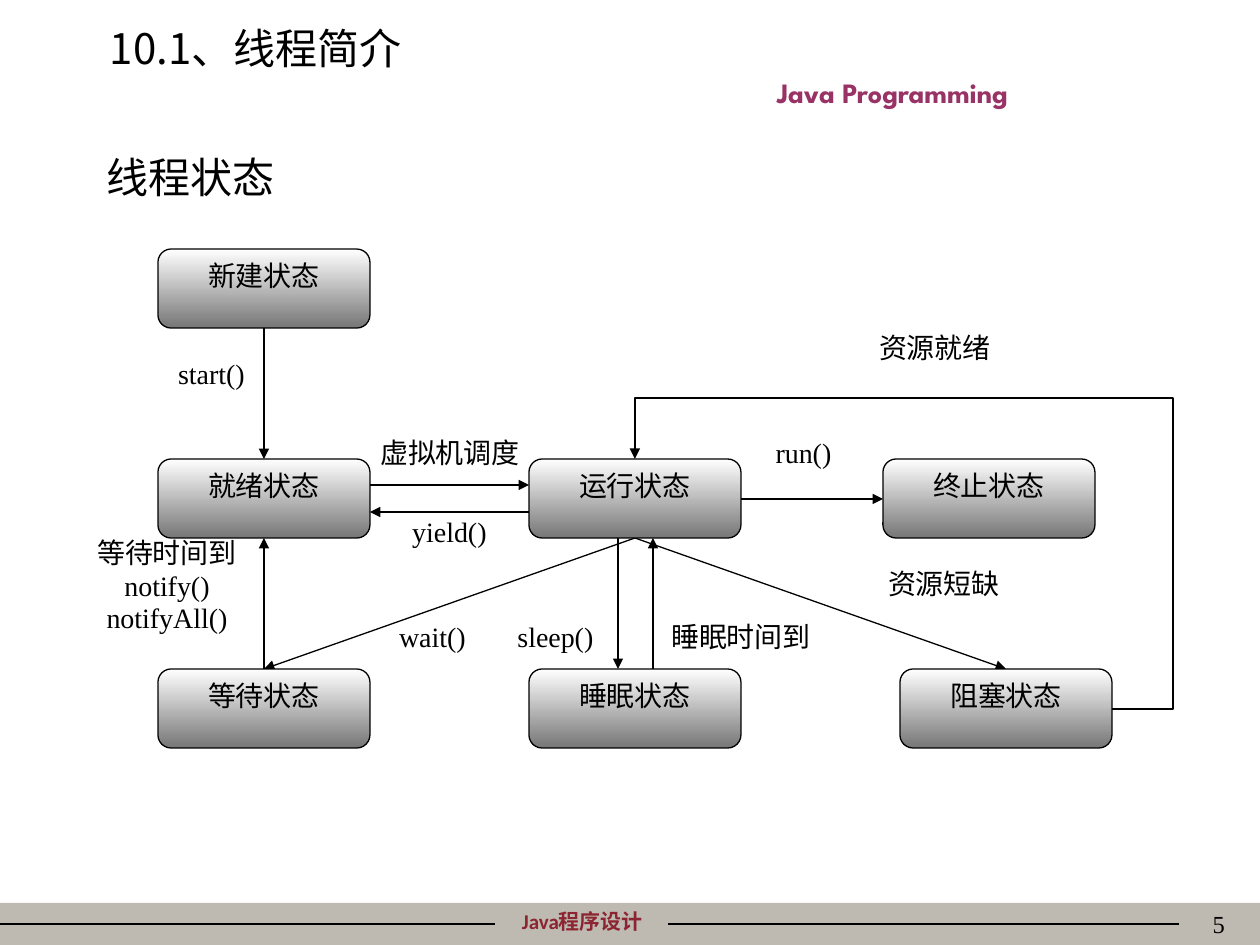
"""Builds the thread state diagram slide."""
from lxml import etree
from pptx import Presentation
from pptx import util as u
from pptx.dml.color import RGBColor
from pptx.enum import shapes, text
from pptx.oxml import ns

PX = 914400 / 126
BLACK = RGBColor(0x00, 0x00, 0x00)
WHITE = RGBColor(0xFF, 0xFF, 0xFF)
GREY = RGBColor(0x76, 0x76, 0x76)
BAR = RGBColor(0xBF, 0xBA, 0xB1)
RED = RGBColor(0x8C, 0x25, 0x32)
PLUM = RGBColor(0x99, 0x33, 0x66)
SERIF = "Times New Roman"
CENTER = text.PP_ALIGN.CENTER
TOP = text.MSO_ANCHOR.TOP
MIDDLE = text.MSO_ANCHOR.MIDDLE

LEFT, TOP_ROW, COL_STEP, ROW_STEP = 158, 249, 371, 210
BOX_W, BOX_H = 212, 79
LABEL_H = 53


def px(*values):
    """Turns pixel lengths into EMU."""
    return [u.Emu(round(v * PX)) for v in values]


def write(s, words, size=16, font=SERIF, color=BLACK, bold=False,
          align=CENTER, anchor=TOP, inset=(0, 0), spacing=None):
    """Sets and formats the text of a shape."""
    tf = s.text_frame
    tf.word_wrap = True
    tf.vertical_anchor = anchor
    tf.margin_left, tf.margin_top = px(*inset)
    tf.margin_right, tf.margin_bottom = px(*inset)
    tf.text = words
    for p in tf.paragraphs:
        p.alignment = align
        p.line_spacing = spacing
        for r in p.runs:
            r.font.size = u.Pt(size)
            r.font.name = font
            r.font.bold = bold
            r.font.color.rgb = color


def text_box(sp, at, words, **style):
    """Adds a text box."""
    write(sp.add_textbox(*px(*at)), words, **style)


def round_box(sp, at, words, **style):
    """Adds a rounded rectangle without fill or line."""
    s = sp.add_shape(shapes.MSO_SHAPE.ROUNDED_RECTANGLE, *px(*at))
    s.shadow.inherit = False
    s.fill.background()
    s.line.fill.background()
    write(s, words, **style)
    return s


def state(sp, x, y, words):
    """Adds a state box with a vertical gradient."""
    s = round_box(sp, (x, y, BOX_W, BOX_H), words, inset=(0, 6))
    s.fill.gradient()
    s.fill.gradient_angle = 270
    for stop, color in zip(s.fill.gradient_stops, (WHITE, GREY)):
        stop.color.rgb = color
    s.line.color.rgb = BLACK
    s.line.width = u.Pt(0.75)


def line(sp, start, end, arrow=True, kind=shapes.MSO_CONNECTOR.STRAIGHT):
    """Adds a thin black line, with an arrowhead at its end if wanted."""
    s = sp.add_connector(kind, *px(*start, *end))
    s.line.color.rgb = BLACK
    s.line.width = u.Pt(0.75)
    pr = s.element.spPr
    if arrow:
        etree.SubElement(pr.find(ns.qn("a:ln")), ns.qn("a:tailEnd"), type="triangle")
    etree.SubElement(pr, ns.qn("a:effectLst"))
    return s


def loop(sp, start, end, turn):
    """Adds an arrow with four bends that passes the outer corner turn."""
    s = line(sp, start, end, kind=shapes.MSO_CONNECTOR.ELBOW)
    geom = s.element.spPr.find(ns.qn("a:prstGeom"))
    geom.set("prst", "bentConnector4")
    guides = geom.find(ns.qn("a:avLst"))
    if guides is None:
        guides = etree.SubElement(geom, ns.qn("a:avLst"))
    for i in range(2):
        share = (turn[i] - start[i]) / (end[i] - start[i])
        etree.SubElement(guides, ns.qn("a:gd"), name=f"adj{i + 1}",
                         fmla=f"val {round(share * 100000)}")


def frame(sp):
    """Adds the footer, header and headings."""
    bar = sp.add_shape(shapes.MSO_SHAPE.RECTANGLE, *px(0, 903, 1260, 42))
    bar.shadow.inherit = False
    bar.fill.solid()
    bar.fill.fore_color.rgb = BAR
    bar.line.fill.background()
    pad = (13, 6)
    text_box(sp, (456, 903, 253, 38), "Java程序设计", size=12, font="Calibri",
             color=RED, bold=True, inset=pad)
    for x1, x2 in ((0, 495), (668, 1179)):
        line(sp, (x1, 924), (x2, 924), arrow=False)
    text_box(sp, (640, 69, 505, 47), "Java Programming", size=16,
             font="League Spartan", color=PLUM, bold=True, anchor=MIDDLE, inset=pad)
    text_box(sp, (976, 903, 262, 63), "5", size=14,
             align=text.PP_ALIGN.RIGHT, inset=pad)
    text_box(sp, (97, 16, 1071, 63), "10.1、线程简介", size=24,
             font="Noto Sans CJK SC", align=text.PP_ALIGN.LEFT,
             anchor=MIDDLE, inset=pad)
    text_box(sp, (94, 145, 1134, 673), "线程状态", size=24,
             align=text.PP_ALIGN.LEFT, inset=pad)


def diagram(sp):
    """Adds the states, the arrows between them and their labels."""
    left, mid, right = (LEFT + i * COL_STEP for i in range(3))
    new, ready, waiting = (TOP_ROW + i * ROW_STEP for i in range(3))
    ended = 883
    left_c, mid_c, right_c = (x + BOX_W // 2 for x in (left, mid, right))
    below = ready + BOX_H

    arrows = [
        ((left_c, new + BOX_H), (left_c, ready)),
        ((left_c, waiting), (left_c, below)),
        ((left + BOX_W, ready + 26), (mid, ready + 26)),
        ((mid, ready + 53), (left + BOX_W, ready + 53)),
        ((mid + BOX_W, ready + 40), (ended, ready + 40)),
        ((mid_c, below), (left_c, waiting)),
        ((mid_c, below), (right_c, waiting)),
        ((mid_c - 17, below), (mid_c - 17, waiting)),
        ((mid_c + 18, waiting), (mid_c + 18, below)),
    ]
    for start, end in arrows:
        line(sp, start, end)
    loop(sp, (right + BOX_W, waiting + 40), (mid_c, ready), (1173, 398))

    labels = [
        (141, 354, 141, "start()"),
        (371, 433, 158, "虚拟机调度"),
        (388, 512, 123, "yield()"),
        (742, 433, 123, "run()"),
        (847, 564, 194, "资源短缺"),
        (494, 617, 123, "sleep()"),
        (371, 617, 123, "wait()"),
        (847, 328, 176, "资源就绪"),
        (653, 617, 176, "睡眠时间到"),
    ]
    for x, y, w, words in labels:
        round_box(sp, (x, y, w, LABEL_H), words)
    text_box(sp, (88, 538, 158, 158), "等待时间到\nnotify()\nnotifyAll()",
             spacing=0.96)

    states = [
        (ended, ready, "终止状态"),
        (right, waiting, "阻塞状态"),
        (mid, waiting, "睡眠状态"),
        (mid, ready, "运行状态"),
        (left, waiting, "等待状态"),
        (left, ready, "就绪状态"),
        (left, new, "新建状态"),
    ]
    for x, y, words in states:
        state(sp, x, y, words)


def main():
    """Builds and saves the slide."""
    prs = Presentation()
    prs.slide_width, prs.slide_height = px(1260, 945)
    sp = prs.slides.add_slide(prs.slide_layouts[6]).shapes
    frame(sp)
    diagram(sp)
    prs.save("out.pptx")


if __name__ == "__main__":
    main()
